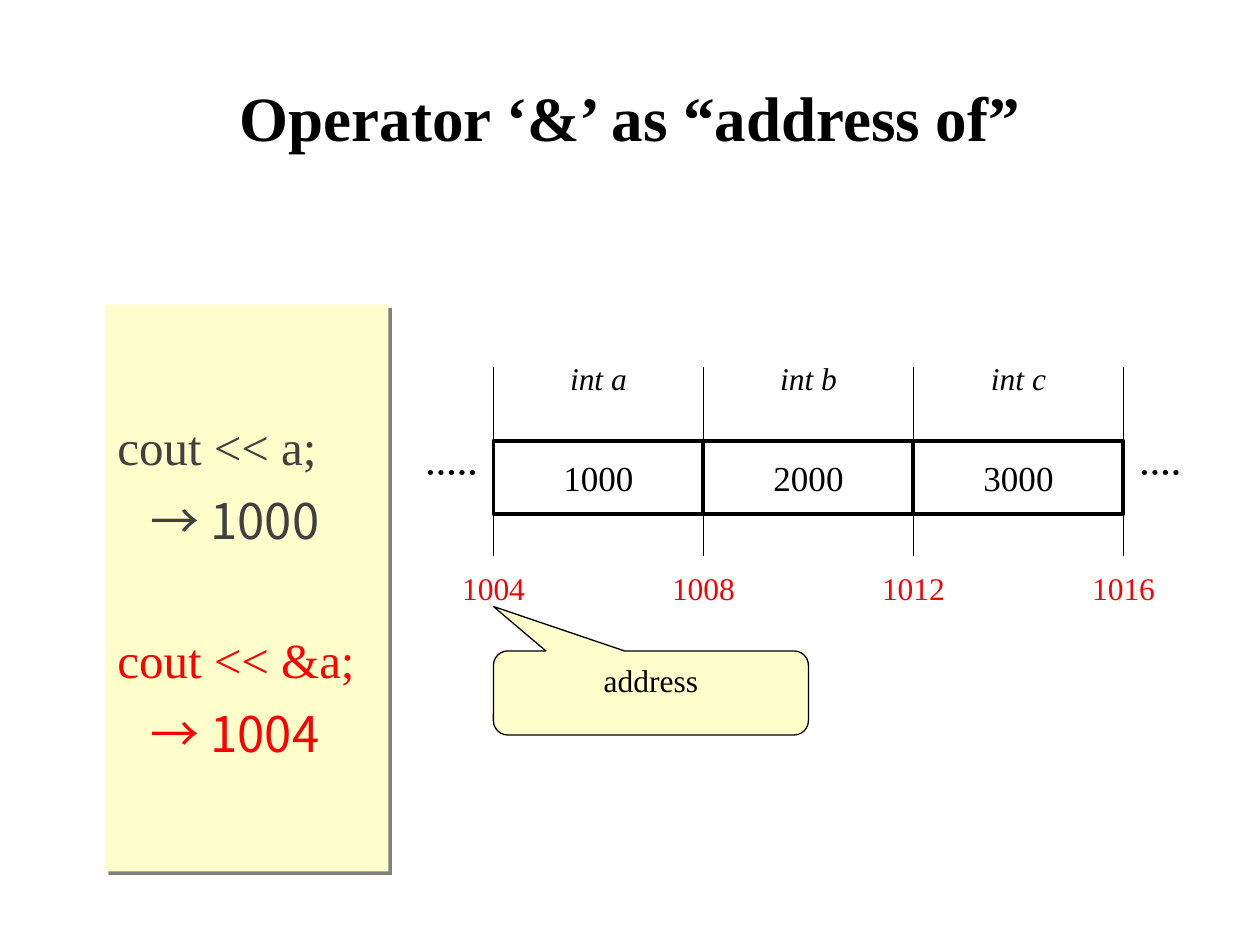
from lxml import etree
from pptx import Presentation
from pptx.dml.color import RGBColor
from pptx.enum import dml, shapes, text
from pptx.oxml import parse_xml
from pptx.oxml.ns import nsdecls, qn
from pptx.util import Pt

BLACK = RGBColor(0x00, 0x00, 0x00)
WHITE = RGBColor(0xFF, 0xFF, 0xFF)
RED = RGBColor(0xFF, 0x00, 0x00)
GRAY = RGBColor(0x40, 0x40, 0x40)
CREAM = RGBColor(0xFF, 0xFF, 0xCC)
SERIF = "Times New Roman"
SANS = "Noto Sans CJK KR"
CENTER = text.PP_ALIGN.CENTER
LEFT = text.PP_ALIGN.LEFT
MIDDLE = text.MSO_ANCHOR.MIDDLE
TOP = text.MSO_ANCHOR.TOP


def write(paragraph, words, color, alignment=CENTER, **font_format):
    paragraph.text = words
    paragraph.alignment = alignment
    values = {"name": SERIF, "size": Pt(18), "bold": False, **font_format}
    for name, value in values.items():
        setattr(paragraph.runs[0].font, name, value)
    paragraph.runs[0].font.color.rgb = color


def add_line(collection, start, end, width):
    line = collection.add_connector(shapes.MSO_CONNECTOR.STRAIGHT, *map(Pt, start + end))
    line.line.color.rgb = BLACK
    line.line.width = Pt(width)
    etree.SubElement(line._element.spPr, qn("a:effectLst"))
    return line


presentation = Presentation()
presentation.slide_width, presentation.slide_height = Pt(720), Pt(540)
slide = presentation.slides.add_slide(presentation.slide_layouts[5])

title = slide.shapes.title
title_place = {"left": Pt(36), "top": Pt(21.6), "width": Pt(648), "height": Pt(90)}
for name, value in title_place.items():
    setattr(title, name, value)
title.text_frame.vertical_anchor = MIDDLE
write(title.text_frame.paragraphs[0], "Operator ‘&’ as “address of”", BLACK, size=Pt(36), bold=True)

code = slide.shapes.add_shape(shapes.MSO_SHAPE.RECTANGLE, Pt(60), Pt(174), Pt(162), Pt(324))
code.fill.solid()
code.fill.fore_color.rgb = CREAM
code.line.fill.background()
code._element.spPr.append(parse_xml(
    f'<a:effectLst {nsdecls("a")}><a:outerShdw dist="35560" dir="2700000" algn="ctr" rotWithShape="0">'
    '<a:srgbClr val="808080"/></a:outerShdw></a:effectLst>'))
code.text_frame.word_wrap = True
code.text_frame.vertical_anchor = MIDDLE
code_lines = [
    ("cout << a;", GRAY, SERIF, 0, 0),
    ("→ 1000", GRAY, SANS, 19, 7),
    ("cout << &a;", RED, SERIF, 0, 44.7),
    ("→ 1004", RED, SANS, 19, 7),
]
for index, (words, color, font_name, indent, space) in enumerate(code_lines):
    frame = code.text_frame
    paragraph = frame.add_paragraph() if index else frame.paragraphs[0]
    write(paragraph, words, color, LEFT, name=font_name, size=Pt(28))
    paragraph.line_spacing = Pt(35)
    paragraph.space_before = Pt(space)
    paragraph._p.get_or_add_pPr().set("marL", str(Pt(indent)))

memory_left, cell_width = 282, 120
cells = [("int a", "1000"), ("int b", "2000"), ("int c", "3000")]
for index, (variable, content) in enumerate(cells):
    left = memory_left + index * cell_width
    cell = slide.shapes.add_shape(shapes.MSO_SHAPE.RECTANGLE, Pt(left), Pt(252), Pt(cell_width), Pt(42))
    cell.shadow.inherit = False
    cell.fill.solid()
    cell.fill.fore_color.rgb = WHITE
    cell.line.color.rgb = BLACK
    cell.line.width = Pt(2.25)
    cell.text_frame.vertical_anchor = MIDDLE
    write(cell.text_frame.paragraphs[0], content, BLACK, size=Pt(20))

    label = slide.shapes.add_textbox(Pt(left), Pt(204), Pt(cell_width), Pt(24))
    label.text_frame.word_wrap = True
    label.text_frame.vertical_anchor = MIDDLE
    write(label.text_frame.paragraphs[0], variable, BLACK, italic=True)

for start, end in [(270, 240), (672, 648)]:
    dots = add_line(slide.shapes, (start, 270), (end, 270), 3)
    dots.line.dash_style = dml.MSO_LINE.ROUND_DOT
    dots.line._ln.set("cap", "rnd")

boundaries = slide.shapes.add_group_shape()
for index, address in enumerate(["1004", "1008", "1012", "1016"]):
    x = memory_left + index * cell_width
    add_line(boundaries.shapes, (x, 210), (x, 318), 0.75)
    label = slide.shapes.add_textbox(Pt(x - 42), Pt(324), Pt(84), Pt(24))
    label.text_frame.word_wrap = True
    label.text_frame.vertical_anchor = MIDDLE
    write(label.text_frame.paragraphs[0], address, RED)

callout = slide.shapes.add_shape(
    shapes.MSO_SHAPE.ROUNDED_RECTANGULAR_CALLOUT, Pt(memory_left), Pt(372), Pt(180), Pt(48))
callout.shadow.inherit = False
for index, value in enumerate([-0.5, -1.03, 0.17]):
    callout.adjustments[index] = value
callout.fill.solid()
callout.fill.fore_color.rgb = CREAM
callout.line.color.rgb = BLACK
callout.line.width = Pt(0.75)
callout.text_frame.vertical_anchor = TOP
write(callout.text_frame.paragraphs[0], "address", BLACK)

presentation.save("out.pptx")
